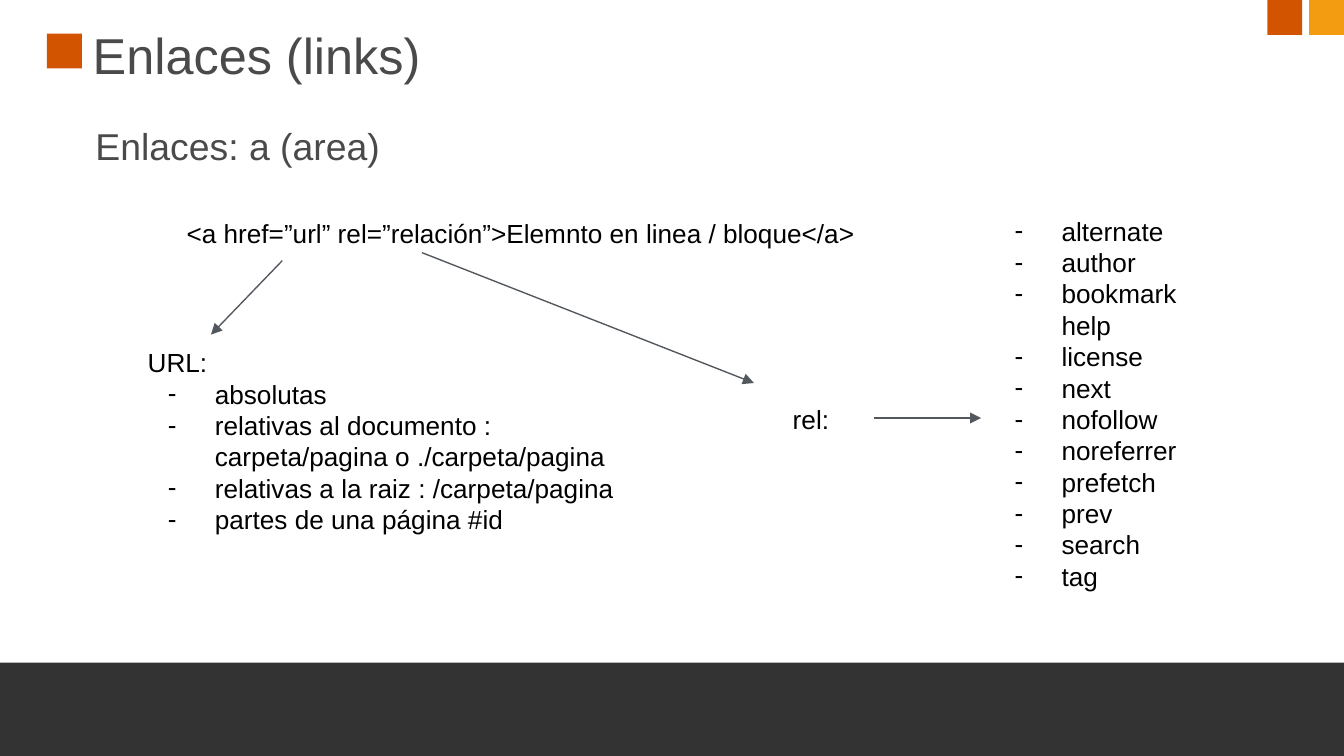
"""Build the slide about HTML links and the values of their attributes."""
from dataclasses import dataclass

from lxml.etree import SubElement
from pptx import Presentation
from pptx.dml.color import RGBColor
from pptx.enum.shapes import MSO_CONNECTOR, MSO_SHAPE
from pptx.enum.text import MSO_ANCHOR, PP_ALIGN
from pptx.oxml.ns import qn
from pptx.util import Inches, Pt


@dataclass(frozen=True)
class Theme:
    font: str = "Arial"
    title: int = 27
    subtitle: int = 20
    body: int = 14
    rule: float = 0.75
    grey: str = "4A4A4A"
    ink: str = "000000"
    arrow: str = "53585F"
    dark: str = "333333"
    orange: str = "D35400"
    amber: str = "F39C12"


T = Theme()
UNIT = Inches(0.1)
COLS, ROWS = 100, 56.25
SQUARE = 2.6

TITLE = "Enlaces (links)"
SUBTITLE = "Enlaces: a (area)"
CODE = "<a href=”url” rel=”relación”>Elemnto en linea / bloque</a>"
URL_KINDS = [
    "absolutas",
    "relativas al documento : carpeta/pagina o ./carpeta/pagina",
    "relativas a la raiz : /carpeta/pagina",
    "partes de una página #id",
]
REL_VALUES = [
    "alternate", "author", "bookmark\nhelp", "license", "next", "nofollow",
    "noreferrer", "prefetch", "prev", "search", "tag",
]
BLOCKS = [
    ((3.5, 2.5, SQUARE, SQUARE), T.orange),
    ((-0.3, 49.3, COLS + 0.5, ROWS - 49.3), T.dark),
    ((COLS - 2 * SQUARE - 0.5, 0, SQUARE, SQUARE), T.orange),
    ((COLS - SQUARE, 0, SQUARE, SQUARE), T.amber),
]
ARROWS = [(65, 31.1, 73, 31.1), (21, 19.4, 15.7, 24.9), (31.4, 18.8, 56.1, 28.5)]


def grid(*cells):
    return [round(c * UNIT) for c in cells]


def add_block(s, box, color):
    sp = s.shapes.add_shape(MSO_SHAPE.RECTANGLE, *grid(*box))
    sp.shadow.inherit = False
    sp.fill.solid()
    sp.fill.fore_color.rgb = RGBColor.from_string(color)
    sp.line.fill.background()


def add_dash(p):
    pPr = p._p.get_or_add_pPr()
    pPr.set("marL", str(Inches(0.5)))
    pPr.set("indent", str(-Inches(0.35)))
    color = SubElement(pPr, qn("a:buClr"))
    SubElement(color, qn("a:srgbClr"), val=T.ink)
    SubElement(pPr, qn("a:buFont"), typeface=T.font)
    SubElement(pPr, qn("a:buChar"), char="-")


def write(tf, lead=(), items=(), size=T.body, color=T.ink, inset=1.0,
          top=None, anchor=MSO_ANCHOR.TOP):
    tf.word_wrap = True
    tf.vertical_anchor = anchor
    tf.margin_left, tf.margin_right, tf.margin_bottom = grid(inset, inset, inset)
    tf.margin_top = grid(inset if top is None else top)[0]
    for i, text in enumerate([*lead, *items]):
        p = tf.paragraphs[0] if i == 0 else tf.add_paragraph()
        p.alignment = PP_ALIGN.LEFT
        if i >= len(lead):
            add_dash(p)
        for j, line in enumerate(text.split("\n")):
            if j:
                p.add_line_break()
            r = p.add_run()
            r.text = line
            r.font.name = T.font
            r.font.size = Pt(size)
            r.font.color.rgb = RGBColor.from_string(color)


def add_text(s, box, **style):
    write(s.shapes.add_textbox(*grid(*box)).text_frame, **style)


def add_arrow(s, ends):
    c = s.shapes.add_connector(MSO_CONNECTOR.STRAIGHT, *grid(*ends))
    c.line.color.rgb = RGBColor.from_string(T.arrow)
    c.line.width = Pt(T.rule)
    SubElement(c.line._get_or_add_ln(), qn("a:tailEnd"), type="triangle")
    SubElement(c._element.spPr, qn("a:effectLst"))


def main():
    prs = Presentation()
    prs.slide_width, prs.slide_height = grid(COLS, ROWS)
    s = prs.slides.add_slide(prs.slide_layouts[5])
    for box, color in BLOCKS:
        add_block(s, box, color)

    title = s.shapes.title
    title.left, title.top, title.width, title.height = grid(6.3, 1.2, 85.7, 5.9)
    write(title.text_frame, [TITLE], size=T.title, color=T.grey, inset=0.6)

    add_text(s, (6.5, 8.6, 85.7, 5.9), lead=[SUBTITLE], size=T.subtitle,
             color=T.grey, inset=0.6)
    add_text(s, (12.9, 15.2, 58.4, 5.9), lead=[CODE])
    add_text(s, (10, 24.8, 40.9, 17.1), lead=["URL:"], items=URL_KINDS)
    add_text(s, (73, 16, 17.9, 30.2), items=REL_VALUES, top=0)
    add_text(s, (58, 28.6, 6.9, 5.1), lead=["rel:"], anchor=MSO_ANCHOR.MIDDLE)
    for ends in ARROWS:
        add_arrow(s, ends)
    prs.save("out.pptx")


if __name__ == "__main__":
    main()
